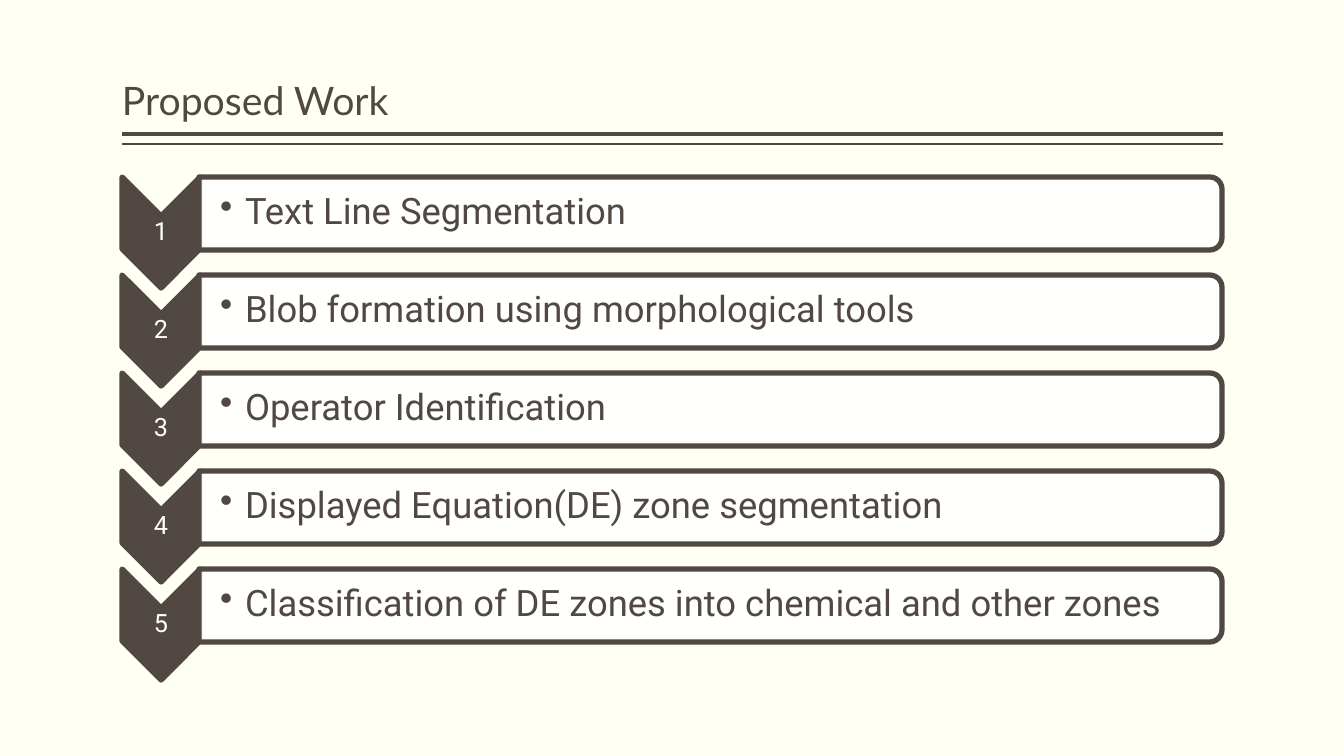
from lxml import etree
from pptx import Presentation
from pptx.dml.color import RGBColor
from pptx.enum.shapes import MSO_CONNECTOR, MSO_SHAPE
from pptx.enum.text import MSO_ANCHOR, PP_ALIGN
from pptx.oxml.ns import qn
from pptx.util import Pt

TITLE = "Proposed Work"
STEPS = [
    "Text Line Segmentation",
    "Blob formation using morphological tools",
    "Operator Identification",
    "Displayed Equation(DE) zone segmentation",
    "Classification of DE zones into chemical and other zones",
]
RULES = [(134, 3), (144, 1)]  # y in px, weight in points

BROWN = RGBColor(0x51, 0x48, 0x43)
WHITE = RGBColor(0xFF, 0xFF, 0xFF)
CREAM = RGBColor(0xFF, 0xFF, 0xF3)
CHEVRON, BAR = MSO_SHAPE.CHEVRON, MSO_SHAPE.ROUND_2_SAME_RECTANGLE
STRAIGHT = MSO_CONNECTOR.STRAIGHT
MIDDLE, BOTTOM = MSO_ANCHOR.MIDDLE, MSO_ANCHOR.BOTTOM
LEFT_ALIGN, CENTER = PP_ALIGN.LEFT, PP_ALIGN.CENTER

LEFT, RIGHT = 122, 1223
FIRST_TOP, STEP_PITCH = 177, 98
CHEVRON_W, CHEVRON_H = 78, 111
BAR_LEFT, BAR_W, BAR_H = 199, 1023, 73
BULLET_INDENT = 25


def px(length):
    return round(length * 914400 / 100.8)


def add_turned_shape(slide, kind, left, top, width, height, fill):
    """Add a shape turned 90 degrees that covers the given box on the slide."""
    shift = (width - height) / 2
    shape = slide.shapes.add_shape(
        kind, px(left + shift), px(top - shift), px(height), px(width))
    shape.rotation = 90
    shape.shadow.inherit = False
    shape.fill.solid()
    shape.fill.fore_color.rgb = fill
    shape.line.color.rgb = BROWN
    shape.line.width = Pt(3.78)
    return shape


def add_text(slide, text, box, font, size, color, anchor, align, insets):
    text_box = slide.shapes.add_textbox(*map(px, box))
    frame = text_box.text_frame
    frame.word_wrap = True
    frame.vertical_anchor = anchor
    (frame.margin_left, frame.margin_top,
     frame.margin_right, frame.margin_bottom) = map(px, insets)
    frame.text = text
    paragraph = frame.paragraphs[0]
    paragraph.alignment = align
    paragraph.line_spacing = 0.9
    run_font = paragraph.runs[0].font
    run_font.name = font
    run_font.size = Pt(size)
    run_font.color.rgb = color
    return paragraph


def add_bullet(paragraph):
    properties = paragraph._p.get_or_add_pPr()
    properties.set("marL", str(px(BULLET_INDENT)))
    properties.set("indent", str(-px(BULLET_INDENT)))
    etree.SubElement(properties, qn("a:buChar")).set("char", "•")


def add_rule(slide, y, weight):
    rule = slide.shapes.add_connector(STRAIGHT, px(RIGHT), px(y), px(LEFT), px(y))
    rule.line.color.rgb = BROWN
    rule.line.width = Pt(weight)
    etree.SubElement(rule._element.spPr, qn("a:effectLst"))


def add_step(slide, number, label, top):
    add_turned_shape(slide, CHEVRON, LEFT, top, CHEVRON_W, CHEVRON_H, BROWN)
    add_text(slide, str(number), (LEFT, top + 39, CHEVRON_W, 33),
             "Roboto", 18, WHITE, MIDDLE, CENTER, (1, 1, 1, 1))

    bar = add_turned_shape(slide, BAR, BAR_LEFT, top, BAR_W, BAR_H, WHITE)
    bar_color = bar.fill._xPr.find(qn("a:solidFill"))[0]
    etree.SubElement(bar_color, qn("a:alpha")).set("val", "90000")
    paragraph = add_text(slide, label, (BAR_LEFT + 1, top + 3, 1019, 66),
                         "Roboto", 26, BROWN, MIDDLE, LEFT_ALIGN, (20, 2, 2, 2))
    add_bullet(paragraph)


def main():
    deck = Presentation()
    deck.slide_width, deck.slide_height = px(1344), px(756)
    slide = deck.slides.add_slide(deck.slide_layouts[6])
    slide.background.fill.solid()
    slide.background.fill.fore_color.rgb = CREAM

    for y, weight in RULES:
        add_rule(slide, y, weight)
    add_text(slide, TITLE, (LEFT, 8, RIGHT - LEFT, 121),
             "Lato", 28, BROWN, BOTTOM, LEFT_ALIGN, (0, 5, 0, 5))
    for index, label in enumerate(STEPS):
        add_step(slide, index + 1, label, FIRST_TOP + index * STEP_PITCH)

    deck.save("out.pptx")


if __name__ == "__main__":
    main()
